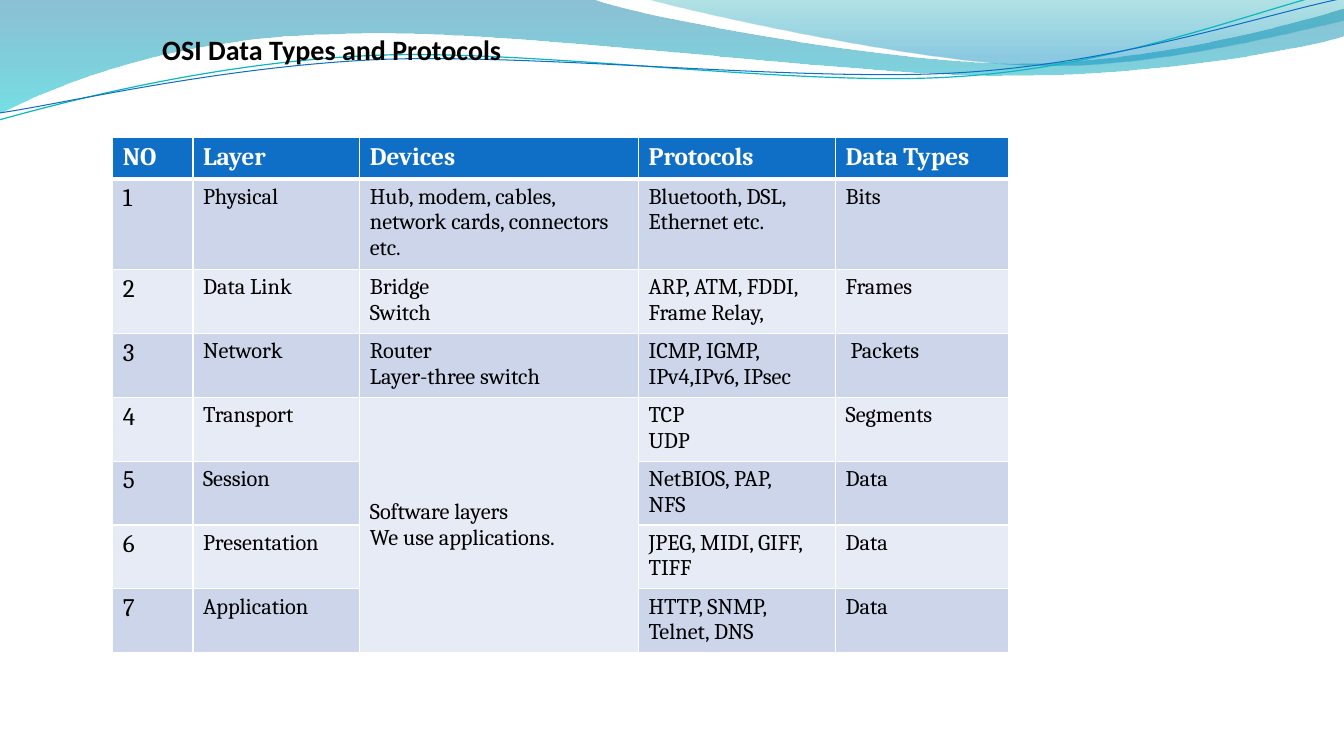
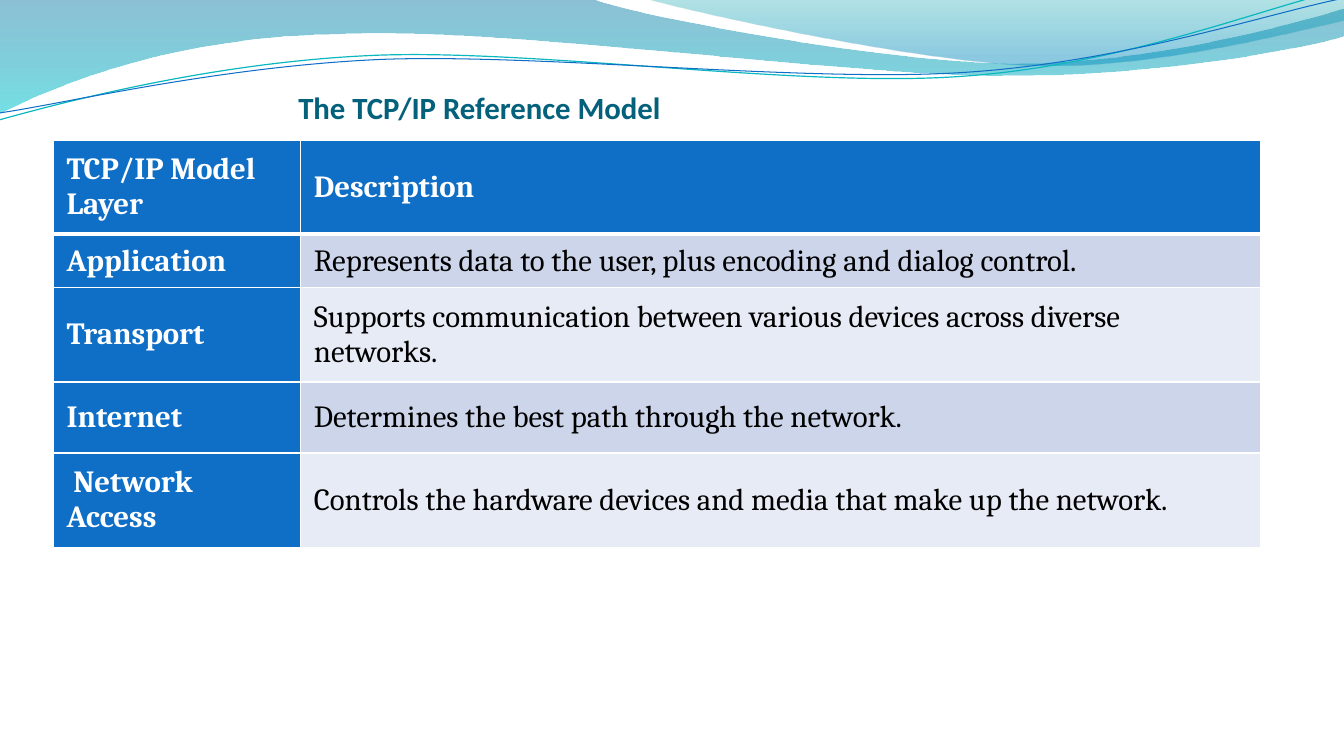
from dataclasses import dataclass

from lxml import etree
from pptx import Presentation
from pptx import util as u
from pptx.dml.color import RGBColor
from pptx.enum import text
from pptx.oxml import ns

CELL = u.Inches(0.01)  # the slide is a fine grid, 100 cells to the inch


@dataclass(frozen=True)
class Theme:
    head: str = "Calibri"
    body: str = "Cambria"
    black: str = "000000"
    white: str = "FFFFFF"
    blue: str = "0F6FC6"
    teal: str = "04617B"
    aqua: str = "0AB8BF"
    bands: tuple = ("E7EBF5", "CCD5EA")
    small: int = 16
    mid: int = 18
    lead: int = 20
    large: int = 22
    thin: int = 1
    thick: int = 3


T = Theme()

# Waves: a start point, then cubic curves (6 numbers) and lines (2 numbers)
BAND = [(0, 0), (587, -1), (634, 17, 885, 63, 1011, 63),
        (1138, 63, 1278, 26, 1333, 9), (1335, 36),
        (1311, 44, 1160, 76, 994, 75), (829, 75, 509, 28, 343, 34),
        (172, 36, 61, 83, -1, 113), (0, 0)]
CREST = [(639, -1), (679, 11, 909, 62, 1025, 65),
         (1141, 69, 1282, 32, 1333, 21), (1333, 0), (639, -1)]
UPPER = [(-1, 119), (64, 101, 211, 62, 369, 55),
         (527, 48, 790, 87, 950, 76), (1110, 66, 1252, 8, 1331, -10)]
LOWER = [(0, 112), (63, 103, 218, 66, 378, 59),
         (537, 53, 796, 82, 955, 72), (1115, 62, 1255, 14, 1334, -2)]

OSI = [
    ("NO", "Layer", "Devices", "Protocols", "Data Types"),
    ("1", "Physical", "Hub, modem, cables, network cards, connectors etc.",
     "Bluetooth, DSL,\nEthernet etc.", "Bits"),
    ("2", "Data Link", "Bridge\nSwitch", "ARP, ATM, FDDI,\nFrame Relay,", "Frames"),
    ("3", "Network", "Router\nLayer-three switch",
     "ICMP, IGMP, IPv4,IPv6, IPsec", " Packets"),
    ("4", "Transport", "Software layers\nWe use applications.", "TCP\nUDP", "Segments"),
    ("5", "Session", "", "NetBIOS, PAP,\nNFS", "Data"),
    ("6", "Presentation", "", "JPEG, MIDI, GIFF, TIFF", "Data"),
    ("7", "Application", "", "HTTP, SNMP, Telnet, DNS", "Data"),
]
TCP = [
    ("TCP/IP Model Layer", "Description"),
    ("Application", "Represents data to the user, plus encoding and dialog control."),
    ("Transport", "Supports communication between various devices across diverse networks."),
    ("Internet", "Determines the best path through the network."),
    (" Network Access", "Controls the hardware devices and media that make up the network."),
]


def grid(*cells):
    return [u.Emu(round(n * CELL)) for n in cells]


def rgb(code):
    return RGBColor.from_string(code)


def style(frame, face, size, color, bold):
    for para in frame.paragraphs:
        font = para.font
        font.name, font.size, font.bold = face, u.Pt(size), bold
        font.color.rgb = rgb(color)


# Curves
def curve(slide, route, close):
    """Build the outline from all its knots, then join each three as a cubic."""
    knots = [grid(*part[i:i + 2]) for part in route for i in range(0, len(part), 2)]
    pen = slide.shapes.build_freeform(*knots[0])
    pen.add_line_segments(knots[1:], close=close)
    shape = pen.convert_to_shape()
    shape.shadow.inherit = False
    lines = iter(list(shape.element.iter(ns.qn("a:lnTo"))))
    for part in route[1:]:
        first = next(lines)
        if len(part) == 6:
            cubic = etree.Element(ns.qn("a:cubicBezTo"))
            first.addprevious(cubic)
            for line in (first, next(lines), next(lines)):
                cubic.append(line[0])
                line.getparent().remove(line)
    return shape


def wave(slide, route, stops):
    """Draw a see-through wave; stops hold place, colour and opacity."""
    shape = curve(slide, route, True)
    shape.line.fill.background()
    shape.fill.gradient()
    shape.fill.gradient_angle = 270
    for stop, (place, color, _) in zip(shape.fill.gradient_stops, stops):
        stop.position = place
        stop.color.rgb = rgb(color)
    for node, (_, _, share) in zip(shape.element.iter(ns.qn("a:srgbClr")), stops):
        etree.SubElement(node, ns.qn("a:alpha"), val=str(share * 1000))
    return shape


def strand(slide, route, color, width):
    shape = curve(slide, route, False)
    shape.fill.background()
    shape.line.color.rgb = rgb(color)
    shape.line.width = u.Pt(width)
    return shape


def adorn(layout, slide):
    """Draw the waves once and move them to the shared layout."""
    for holder in list(layout.placeholders):
        holder.element.getparent().remove(holder.element)
    parts = [
        wave(slide, BAND, [(0, "0074A1", 45), (1, "00C6CF", 55)]),
        wave(slide, CREST, [(0, "00A1A9", 30), (0.8, "008BBF", 45)]),
        strand(slide, UPPER, T.aqua, 0.85),
        strand(slide, LOWER, T.blue, 0.75),
    ]
    for part in parts:
        layout.shapes.element.append(part.element)


# Titles
def title(slide, words, left, top, size, color):
    box = slide.shapes.add_textbox(*grid(left, top, 700, 37))
    frame = box.text_frame
    frame.word_wrap = True
    frame.margin_left = frame.margin_top = frame.margin_right = frame.margin_bottom = 0
    frame.text = words
    style(frame, T.head, size, color, True)


# Tables
def edge(cell, sides):
    props = cell._tc.get_or_add_tcPr()
    for side, width in sides.items():
        line = etree.SubElement(props, ns.qn("a:ln" + side), w=str(u.Pt(width)))
        fill = etree.SubElement(line, ns.qn("a:solidFill"))
        etree.SubElement(fill, ns.qn("a:srgbClr"), val=T.white)


def table(slide, data, spot, cols, rows, sizes, pad=(10, 5), side=False, middle=False):
    """Add a banded table; side also marks the first column as a heading."""
    box = grid(*spot, sum(cols), sum(rows))
    made = slide.shapes.add_table(len(rows), len(cols), *box).table
    for col, width in zip(made.columns, grid(*cols)):
        col.width = width
    for row, height in zip(made.rows, grid(*rows)):
        row.height = height
    for r, line in enumerate(data):
        for c, words in enumerate(line):
            cell = made.cell(r, c)
            head = r == 0 or (side and c == 0)
            edge(cell, {"L": T.thin, "R": T.thin,
                        "T": T.thick if r == 1 else T.thin,
                        "B": T.thick if r == 0 else T.thin})
            cell.fill.solid()
            cell.fill.fore_color.rgb = rgb(T.blue if head else T.bands[r % 2])
            cell.margin_left, cell.margin_top = grid(*pad)
            cell.margin_right, cell.margin_bottom = grid(*pad)
            if middle:
                cell.vertical_anchor = text.MSO_ANCHOR.MIDDLE
            cell.text = words
            size = sizes[0] if r == 0 or c == 0 else sizes[1]
            style(cell.text_frame, T.body, size, T.white if head else T.black, head)
    return made


# Slides
def osi(slide):
    title(slide, "OSI Data Types and Protocols", 161, 32, T.lead, T.black)
    made = table(slide, OSI, (112, 136.5), (79.5, 165.5, 276.5, 195.5, 172),
                 (41,) * 8, (T.mid, T.small))
    soft = made.cell(4, 2)
    soft.merge(made.cell(7, 2))
    soft.vertical_anchor = text.MSO_ANCHOR.MIDDLE


def tcp(slide):
    title(slide, "The TCP/IP Reference Model", 296, 88, T.large, T.teal)
    table(slide, TCP, (53, 139), (245.5, 952), (93.5, 53, 93.5, 70.5, 93.5),
          (T.large, T.large), pad=(13, 7), side=True, middle=True)


def main():
    deck = Presentation()
    deck.slide_width, deck.slide_height = u.Inches(40 / 3), u.Inches(7.5)
    blank = deck.slide_layouts[6]
    first, second = [deck.slides.add_slide(blank) for _ in range(2)]
    adorn(blank, first)
    osi(first)
    tcp(second)
    deck.save("out.pptx")


if __name__ == "__main__":
    main()
